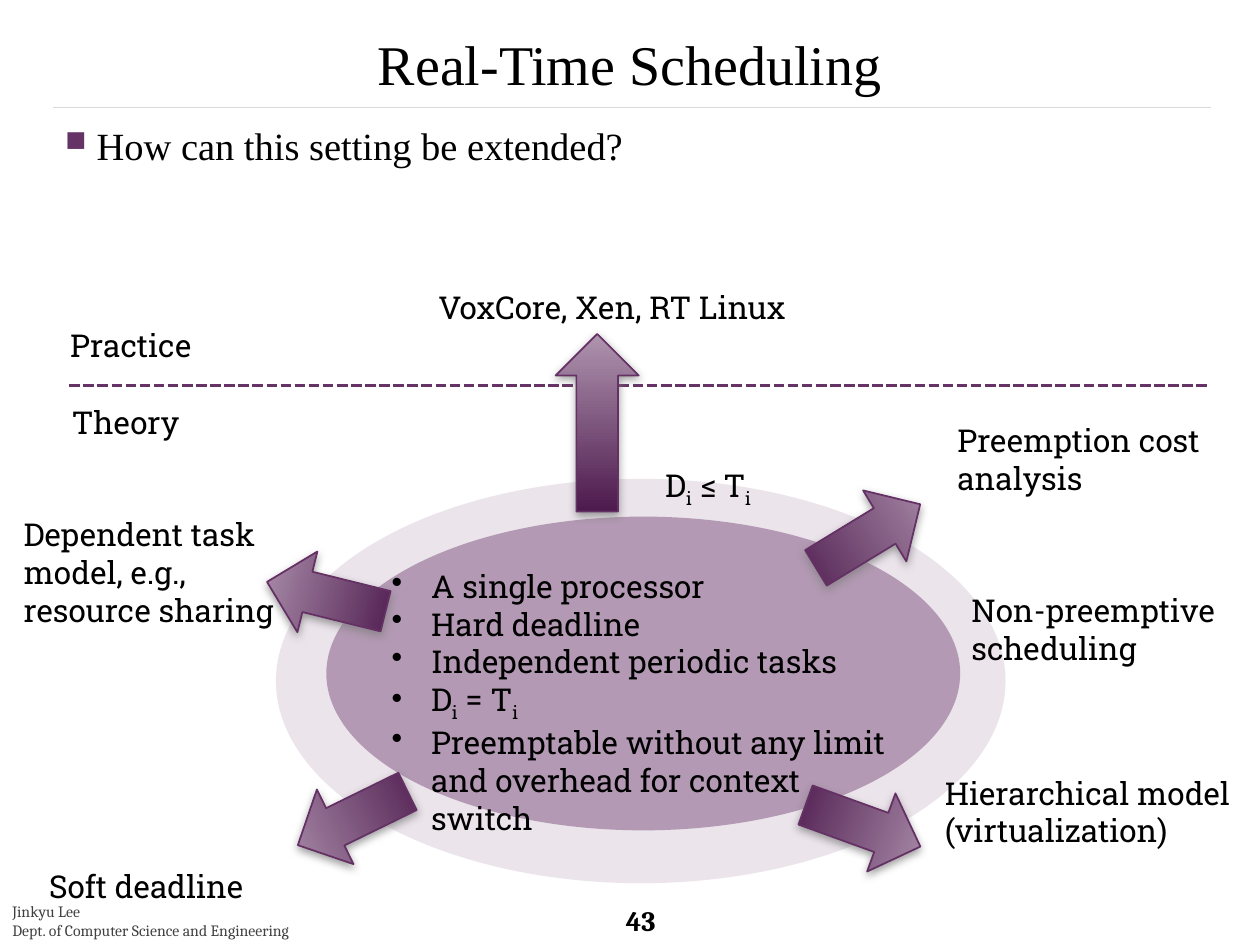
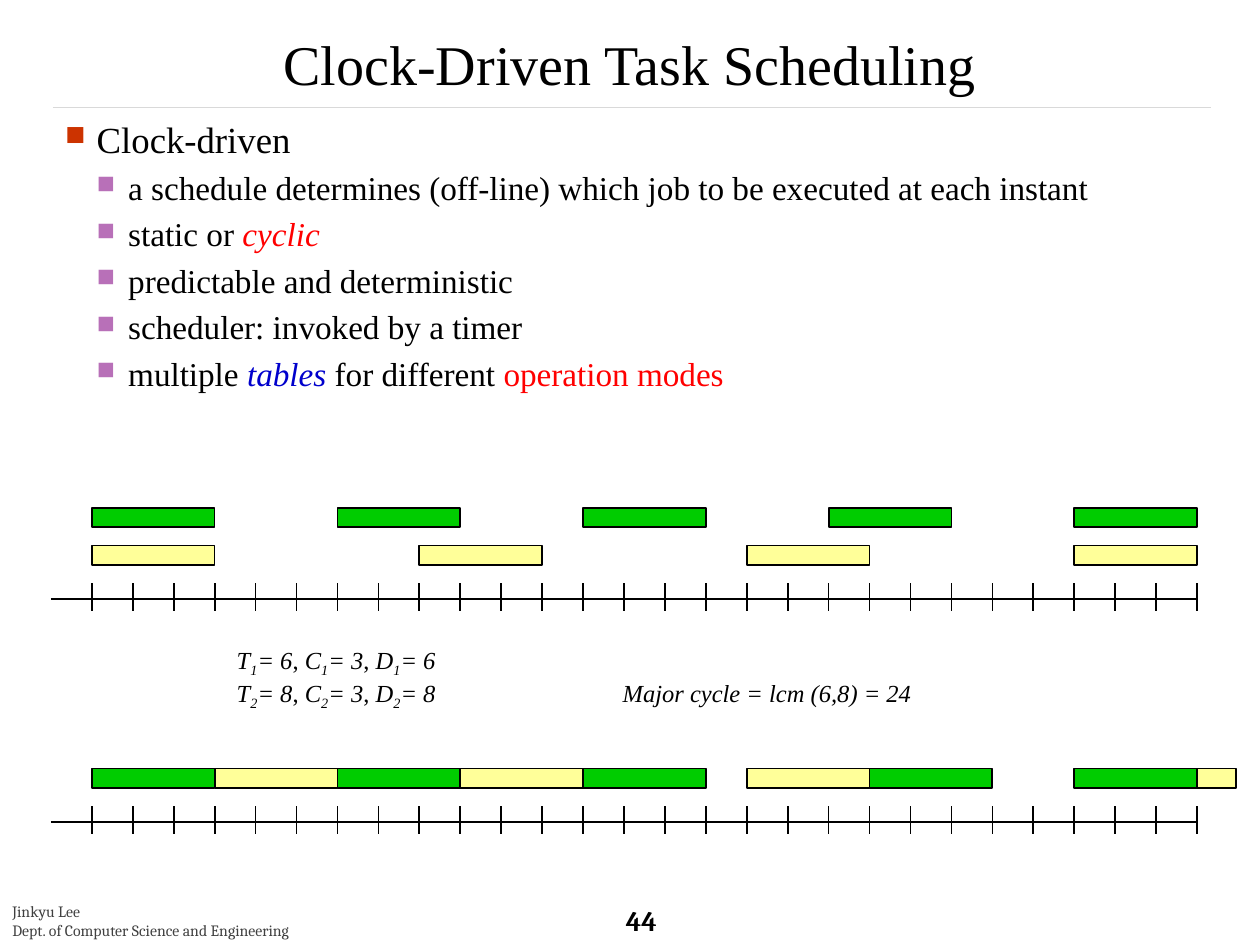
from lxml.etree import SubElement
from pptx import Presentation
from pptx.dml.color import RGBColor
from pptx.enum.dml import MSO_LINE
from pptx.enum.shapes import MSO_CONNECTOR, MSO_SHAPE
from pptx.enum.text import MSO_ANCHOR, MSO_AUTO_SIZE, PP_ALIGN
from pptx.oxml.ns import qn
from pptx.util import Pt

BLACK = RGBColor(0x00, 0x00, 0x00)
GREY = RGBColor(0x40, 0x40, 0x40)
RULE = RGBColor(0xD9, 0xD9, 0xD9)
PURPLE = RGBColor(0x66, 0x33, 0x66)
ARROW_EDGE = RGBColor(0x65, 0x31, 0x65)
ARROW_DARK = RGBColor(0x4D, 0x1A, 0x4D)
ARROW_LIGHT = RGBColor(0xAF, 0x94, 0xAF)
ORCHID = RGBColor(0xB8, 0x70, 0xB8)
RUST = RGBColor(0xCC, 0x33, 0x00)
RED = RGBColor(0xFF, 0x00, 0x00)
BLUE = RGBColor(0x00, 0x00, 0xCC)
GREEN = RGBColor(0x00, 0xCC, 0x00)
YELLOW = RGBColor(0xFF, 0xFF, 0x99)

SERIF, SLAB, FOOTER_FONT = "Times New Roman", "Roboto Slab", "Cambria"

# Content: a paragraph is a string or a list of (text, style) runs
SUB = {"sub": True}
FOOTER = ["Jinkyu Lee", "Dept. of Computer Science and Engineering"]
BODY_BOX = (30.2, 66, 661.7, 440)

QUESTION = "How can this setting be extended?"
LABELS = [  # left, top, width, paragraphs
    (33, 183, 168, ["Practice"]),
    (34, 227, 168, ["Theory"]),
    (21, 491.8, 131, ["Soft deadline"]),
    (6.5, 291, 163.5, ["Dependent task model, e.g., resource sharing"]),
    (532.8, 438.5, 179, ["Hierarchical model (virtualization)"]),
    (540, 237, 163.5, ["Preemption cost", "analysis"]),
    (243.4, 161.3, 289.5, ["VoxCore, Xen, RT Linux"]),
    (373, 262.8, 163.5, [[("D", {}), ("i", SUB), (" ≤ T", {}), ("i", SUB)]]),
    (548, 334, 163.5, ["Non-preemptive scheduling"]),
]
ASSUMPTIONS = [
    "A single processor",
    "Hard deadline",
    "Independent periodic tasks",
    [("D", {}), ("i", SUB), (" = T", {}), ("i", SUB)],
    "Preemptable without any limit and overhead for context switch",
]
ELLIPSES = [((157.7, 273.6, 416.9, 231.1), 13), ((186.5, 295.2, 362.2, 179.3), 42)]
ARROWS = [  # left, top, length, rotation
    (177.8, 432.7, 69.8, 63.9),
    (162.7, 306, 69.8, 103.9),
    (317.5, 190.8, 101.5, 180),
    (472.3, 271.4, 69.8, 238.6),
    (469.4, 437, 69.8, 289.9),
]
ARROW_WIDTH = 47.5

CLOCK_HEAD = "Clock-driven"
CLOCK_POINTS = [
    "a schedule determines (off-line) which job to be executed at each instant",
    [("static or ", {}), ("cyclic", {"color": RED, "italic": True})],
    "predictable and deterministic",
    "scheduler: invoked by a timer",
    [("multiple ", {}), ("tables", {"color": BLUE, "italic": True}),
     (" for different ", {}), ("operation modes", {"color": RED})],
]
TASKS = [  # T, C, D, bar colour, top of the release row
    (6, 3, 6, GREEN, 290.2),
    (8, 3, 8, YELLOW, 311.8),
]
MAJOR_CYCLE = "\tMajor cycle = lcm (6,8) = 24"
SCHEDULE = [  # start, length, task index
    (0, 3, 0), (3, 3, 1), (6, 3, 0), (9, 3, 1), (12, 3, 0),
    (16, 3, 1), (19, 3, 0), (24, 3, 0), (27, 0.95, 1),
]
SCHEDULE_TOP, BAR_HEIGHT = 439.2, 11
TIME_ZERO, TIME_UNIT, LAST_TICK = 52.5, 23.39, 27
AXIS_TOPS = (342.2, 469.6)


# Shared helpers
def place(left, top, width, height):
    return Pt(left), Pt(top), Pt(width), Pt(height)


def add_runs(p, content, font, size, color=BLACK, bold=False):
    runs = [(content, {})] if isinstance(content, str) else content
    for text, style in runs:
        r = p.add_run()
        r.text = text
        r.font.name, r.font.size, r.font.bold = font, Pt(size), bold
        r.font.italic = style.get("italic", False)
        r.font.color.rgb = style.get("color", color)
        if style.get("sub"):
            r.font._element.set("baseline", "-25000")


def add_text(s, box, paragraphs, font, size, **style):
    tf = s.shapes.add_textbox(*place(*box)).text_frame
    tf.word_wrap = True
    for i, content in enumerate(paragraphs):
        p = tf.add_paragraph() if i else tf.paragraphs[0]
        add_runs(p, content, font, size, **style)
    return tf


def add_bullet(p, char, left, hang, color=None, percent=100):
    pPr = p._p.get_or_add_pPr()
    pPr.set("marL", str(Pt(left)))
    pPr.set("indent", str(-Pt(hang)))
    if color is not None:
        SubElement(SubElement(pPr, qn("a:buClr")), qn("a:srgbClr"), val=str(color))
    SubElement(pPr, qn("a:buSzPct"), val=str(percent * 1000))
    SubElement(pPr, qn("a:buChar"), char=char)


def add_line(s, x1, y1, x2, y2, color, width):
    line = s.shapes.add_connector(MSO_CONNECTOR.STRAIGHT, Pt(x1), Pt(y1), Pt(x2), Pt(y2))
    line.line.color.rgb, line.line.width = color, Pt(width)
    SubElement(line._element.spPr, qn("a:effectLst"))
    return line


def add_filled(s, kind, box, color):
    sp = s.shapes.add_shape(kind, *place(*box))
    sp.shadow.inherit = False
    sp.fill.solid()
    sp.fill.fore_color.rgb = color
    return sp


def new_slide(prs, title, number):
    s = prs.slides.add_slide(prs.slide_layouts[5])
    sp = s.shapes.title
    sp.left, sp.top, sp.width, sp.height = place(0, 12.2, 720, 43.2)
    tf = sp.text_frame
    tf.auto_size = MSO_AUTO_SIZE.NONE
    tf.vertical_anchor = MSO_ANCHOR.BOTTOM
    tf.margin_top = tf.margin_bottom = 0
    p = tf.paragraphs[0]
    p.alignment = PP_ALIGN.CENTER
    add_runs(p, title, SERIF, 32)
    add_line(s, 30.2, 61.2, 691.9, 61.2, RULE, 0.1)
    tf = add_text(s, (350.6, 514.8, 47.5, 22.3), [str(number)], FOOTER_FONT, 16, bold=True)
    tf.vertical_anchor = MSO_ANCHOR.MIDDLE
    add_text(s, (0, 512, 198.7, 28.8), FOOTER, FOOTER_FONT, 9, color=GREY)
    return s


# Slide: extending the basic setting
def add_arrow(s, left, top, length, rotation):
    sp = s.shapes.add_shape(MSO_SHAPE.DOWN_ARROW, *place(left, top, ARROW_WIDTH, length))
    sp.rotation = rotation
    sp.fill.gradient()
    sp.fill.gradient_angle = 270
    for stop, color in zip(sp.fill.gradient_stops, (ARROW_DARK, ARROW_LIGHT)):
        stop.color.rgb = color
    sp.line.color.rgb, sp.line.width = ARROW_EDGE, Pt(1)
    sp.shadow.inherit = False
    effects = sp._element.spPr.find(qn("a:effectLst"))
    shadow = SubElement(effects, qn("a:outerShdw"), blurRad=str(Pt(5)), dist=str(Pt(2)),
                        dir="5400000", rotWithShape="0")
    color = SubElement(shadow, qn("a:srgbClr"), val="808080")
    SubElement(color, qn("a:alpha"), val="75000")


def build_extensions(prs):
    s = new_slide(prs, "Real-Time Scheduling", 43)
    tf = add_text(s, BODY_BOX, [QUESTION], SERIF, 22)
    add_bullet(tf.paragraphs[0], "■", 18, 18, PURPLE, 75)

    for box, alpha in ELLIPSES:
        sp = add_filled(s, MSO_SHAPE.OVAL, box, PURPLE)
        sp.line.fill.background()
        color = sp._element.spPr.find(qn("a:solidFill"))[0]
        SubElement(color, qn("a:alpha"), val=str(alpha * 1000))

    border = add_line(s, 39.6, 220.3, 690.5, 220.3, PURPLE, 2)
    border.line.dash_style = MSO_LINE.SQUARE_DOT
    for arrow in ARROWS:
        add_arrow(s, *arrow)
    for left, top, width, paragraphs in LABELS:
        add_text(s, (left, top, width, 29), paragraphs, SLAB, 18)
    tf = add_text(s, (180.7, 320.4, 346.3, 160), ASSUMPTIONS, SLAB, 18)
    for p in tf.paragraphs:
        add_bullet(p, "•", 58.5, 22.5)


# Slide: clock-driven schedule
def time_x(t):
    return TIME_ZERO + t * TIME_UNIT


def add_job(s, start, length, top, color):
    box = (time_x(start), top, length * TIME_UNIT, BAR_HEIGHT)
    sp = add_filled(s, MSO_SHAPE.RECTANGLE, box, color)
    sp.line.color.rgb, sp.line.width = BLACK, Pt(1)


def add_axis(s, y):
    add_line(s, time_x(-1), y, time_x(LAST_TICK), y, BLACK, 1)
    for t in range(LAST_TICK + 1):
        add_line(s, time_x(t), y - 9, time_x(t), y + 7, BLACK, 1)


def task_runs(index, values):
    italic = {"italic": True}
    runs = []
    for name, value in zip("TCD", values):
        if runs:
            runs.append((", ", {}))
        runs += [(name, italic), (str(index), {**italic, **SUB}), (f"= {value}", italic)]
    return runs


def build_clock_driven(prs):
    s = new_slide(prs, "Clock-Driven Task Scheduling", 44)
    tf = add_text(s, BODY_BOX, [CLOCK_HEAD], SERIF, 21)
    head = tf.paragraphs[0]
    head.line_spacing = 0.9
    add_bullet(head, "■", 18, 18, RUST, 75)
    for point in CLOCK_POINTS:
        p = tf.add_paragraph()
        p.line_spacing, p.space_before = 0.9, Pt(6)
        add_bullet(p, "■", 36, 18, ORCHID, 75)
        add_runs(p, point, SERIF, 19)

    # Releases of each task, one row per task
    for period, cost, _, color, top in TASKS:
        for start in range(0, LAST_TICK, period):
            add_job(s, start, cost, top, color)

    # Resulting schedule and both time axes
    for start, length, task in SCHEDULE:
        add_job(s, start, length, SCHEDULE_TOP, TASKS[task][3])
    for y in AXIS_TOPS:
        add_axis(s, y)

    # Task parameters
    lines = [task_runs(i, task[:3]) for i, task in enumerate(TASKS, 1)]
    lines[-1].append((MAJOR_CYCLE, {"italic": True}))
    tf = add_text(s, (128.2, 365, 404, 41), lines, SERIF, 14)
    tabs = SubElement(tf.paragraphs[-1]._p.get_or_add_pPr(), qn("a:tabLst"))
    SubElement(tabs, qn("a:tab"), pos=str(Pt(220.5)), algn="l")


def main():
    prs = Presentation()
    prs.slide_width, prs.slide_height = Pt(720), Pt(540)
    build_extensions(prs)
    build_clock_driven(prs)
    prs.save("out.pptx")


if __name__ == "__main__":
    main()
